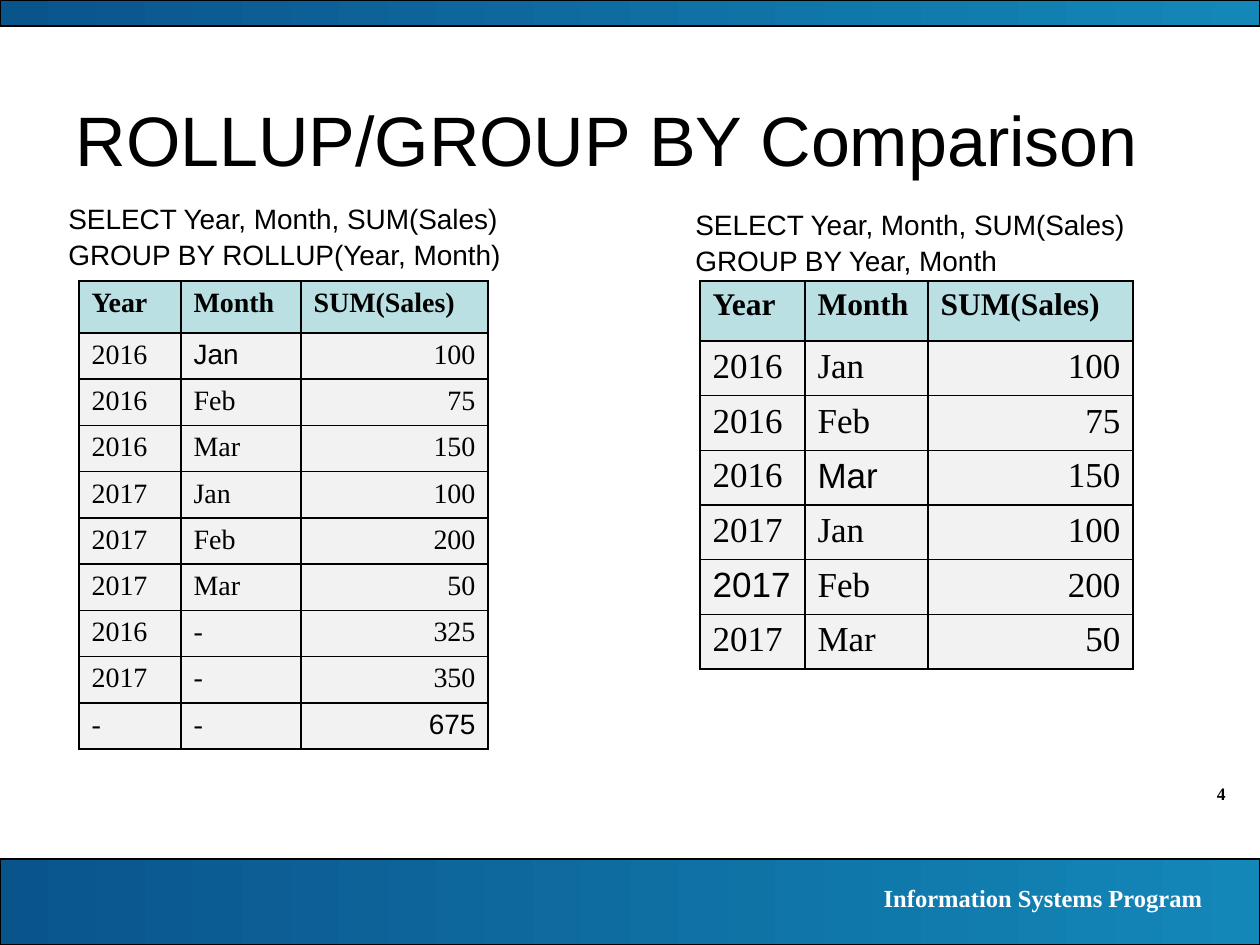
"""Build the slide that compares ROLLUP with a plain GROUP BY."""
from dataclasses import dataclass

from lxml import etree
from pptx import Presentation
from pptx import util as u
from pptx.dml.color import RGBColor
from pptx.enum import shapes, text
from pptx.oxml import ns

PX = 914400 / 126
LEFT, RIGHT = text.PP_ALIGN.LEFT, text.PP_ALIGN.RIGHT
HEADINGS = ("Year", "Month", "SUM(Sales)")
MONTHLY = [
    ("2016", "Jan", "100"), ("2016", "Feb", "75"), ("2016", "Mar", "150"),
    ("2017", "Jan", "100"), ("2017", "Feb", "200"), ("2017", "Mar", "50"),
]
SUBTOTALS = [("2016", "-", "325"), ("2017", "-", "350"), ("-", "-", "675")]


@dataclass(frozen=True)
class Theme:
    """Colours, fonts and type sizes of the slide."""
    ink: str = "000000"
    paper: str = "FFFFFF"
    band_start: str = "0A548C"
    band_end: str = "1387B8"
    header: str = "BBE0E3"
    row: str = "F2F2F2"
    sans: str = "Arial"
    serif: str = "Times New Roman"
    title: int = 40
    query: int = 16
    footer: int = 14
    number: int = 10


def px(length):
    """Turn pixels into EMU."""
    return u.Emu(round(length * PX))


def rgb(code):
    """Turn a hex code into a colour."""
    return RGBColor.from_string(code)


def write(frame, content, *, size, font, color, bold=False, align=LEFT,
          anchor=text.MSO_ANCHOR.TOP, spacing=None):
    """Fill a text frame, one paragraph per line of content."""
    frame.vertical_anchor = anchor
    for index, line in enumerate(content.split("\n")):
        para = frame.add_paragraph() if index else frame.paragraphs[0]
        para.alignment = align
        para.line_spacing = spacing
        span = para.add_run()
        span.text = line
        span.font.size, span.font.name, span.font.bold = u.Pt(size), font, bold
        span.font.color.rgb = rgb(color)


def outline(cell, color):
    """Draw a one-point border on all sides of a cell."""
    properties = cell._tc.get_or_add_tcPr()
    for side in ("lnL", "lnR", "lnT", "lnB"):
        line = etree.SubElement(properties, ns.qn(f"a:{side}"), w=str(u.Pt(1)))
        fill = etree.SubElement(line, ns.qn("a:solidFill"))
        etree.SubElement(fill, ns.qn("a:srgbClr"), val=color)


class Painter:
    """Draws each kind of element on the current slide."""

    def __init__(self, slide, theme):
        """Keep the slide and its theme."""
        self.slide, self.theme = slide, theme

    def rectangle(self, left, top, width, height):
        """Add a rectangle without a shadow."""
        box = self.slide.shapes.add_shape(
            shapes.MSO_SHAPE.RECTANGLE, *map(px, (left, top, width, height)))
        box.shadow.inherit = False
        return box

    def band(self, top, height):
        """Add a full-width gradient band."""
        box = self.rectangle(0, top, 1260, height)
        box.fill.gradient()
        box.fill.gradient_angle = 0
        colors = (self.theme.band_start, self.theme.band_end)
        for stop, position, color in zip(box.fill.gradient_stops, (0, 1), colors):
            stop.position, stop.color.rgb = position, rgb(color)
        box.line.color.rgb = rgb(self.theme.ink)
        box.line.width = u.Pt(0.75)

    def label(self, content, left, top, width, height, size, color):
        """Add a bold right-aligned serif label."""
        box = self.slide.shapes.add_textbox(*map(px, (left, top, width, height)))
        box.text_frame.word_wrap = True
        write(box.text_frame, content, size=size, font=self.theme.serif,
              color=color, bold=True, align=RIGHT)

    def title(self, content, left, top, width, height):
        """Place and fill the title placeholder."""
        box = self.slide.shapes.title
        box.left, box.top, box.width, box.height = map(px, (left, top, width, height))
        box.text_frame.auto_size = text.MSO_AUTO_SIZE.NONE
        write(box.text_frame, content, size=self.theme.title, font=self.theme.sans,
              color=self.theme.ink, anchor=text.MSO_ANCHOR.BOTTOM)

    def query(self, content, left, top, width, height, wrap=True):
        """Add a white box with a query."""
        box = self.rectangle(left, top, width, height)
        box.fill.solid()
        box.fill.fore_color.rgb = rgb(self.theme.paper)
        box.line.fill.background()
        box.text_frame.word_wrap = wrap
        write(box.text_frame, content, size=self.theme.query, font=self.theme.sans,
              color=self.theme.ink, anchor=text.MSO_ANCHOR.MIDDLE, spacing=1.05)

    def result(self, records, left, top, widths, header, height, sizes, sans_cells):
        """Add a result table with equal rows under its header."""
        theme = self.theme
        rows = [HEADINGS, *records]
        table = self.slide.shapes.add_table(
            len(rows), len(widths), px(left), px(top), px(sum(widths)), px(height)).table
        table.horz_banding = False
        for column, width in zip(table.columns, widths):
            column.width = px(width)
        for r, record in enumerate(rows):
            table.rows[r].height = px((height - header) / len(records) if r else header)
            for c, value in enumerate(record):
                cell = table.cell(r, c)
                outline(cell, theme.ink)
                cell.fill.solid()
                cell.fill.fore_color.rgb = rgb(theme.row if r else theme.header)
                write(cell.text_frame, value, size=sizes[min(r, 1)],
                      font=theme.sans if (r, c) in sans_cells else theme.serif,
                      color=theme.ink, bold=r == 0,
                      align=RIGHT if r and c == 2 else LEFT)


def main():
    """Build and save the deck."""
    deck = Presentation()
    deck.slide_width, deck.slide_height = px(1260), px(945)
    theme = Theme()
    painter = Painter(deck.slides.add_slide(deck.slide_layouts[5]), theme)
    painter.label("4", 1134, 777, 104, 34, theme.number, theme.ink)
    painter.band(859, 86)
    painter.band(0, 26)
    painter.label("Information Systems Program", 699, 877, 516, 43,
                  theme.footer, theme.paper)
    painter.title("ROLLUP/GROUP BY Comparison", 63, 77, 1102, 110)
    select = "SELECT Year, Month, SUM(Sales)\nGROUP BY "
    painter.query(select + "Year, Month", 683, 201, 460, 81, wrap=False)
    painter.result(MONTHLY, 700, 281, (105, 123, 205), 60, 387, (18, 20),
                   {(3, 1), (5, 0)})
    painter.query(select + "ROLLUP(Year, Month)", 56, 195, 553, 81)
    painter.result(MONTHLY + SUBTOTALS, 79, 281, (102, 120, 187), 52, 467, (16, 16),
                   {(1, 1), (9, 2)})
    deck.save("out.pptx")


if __name__ == "__main__":
    main()
